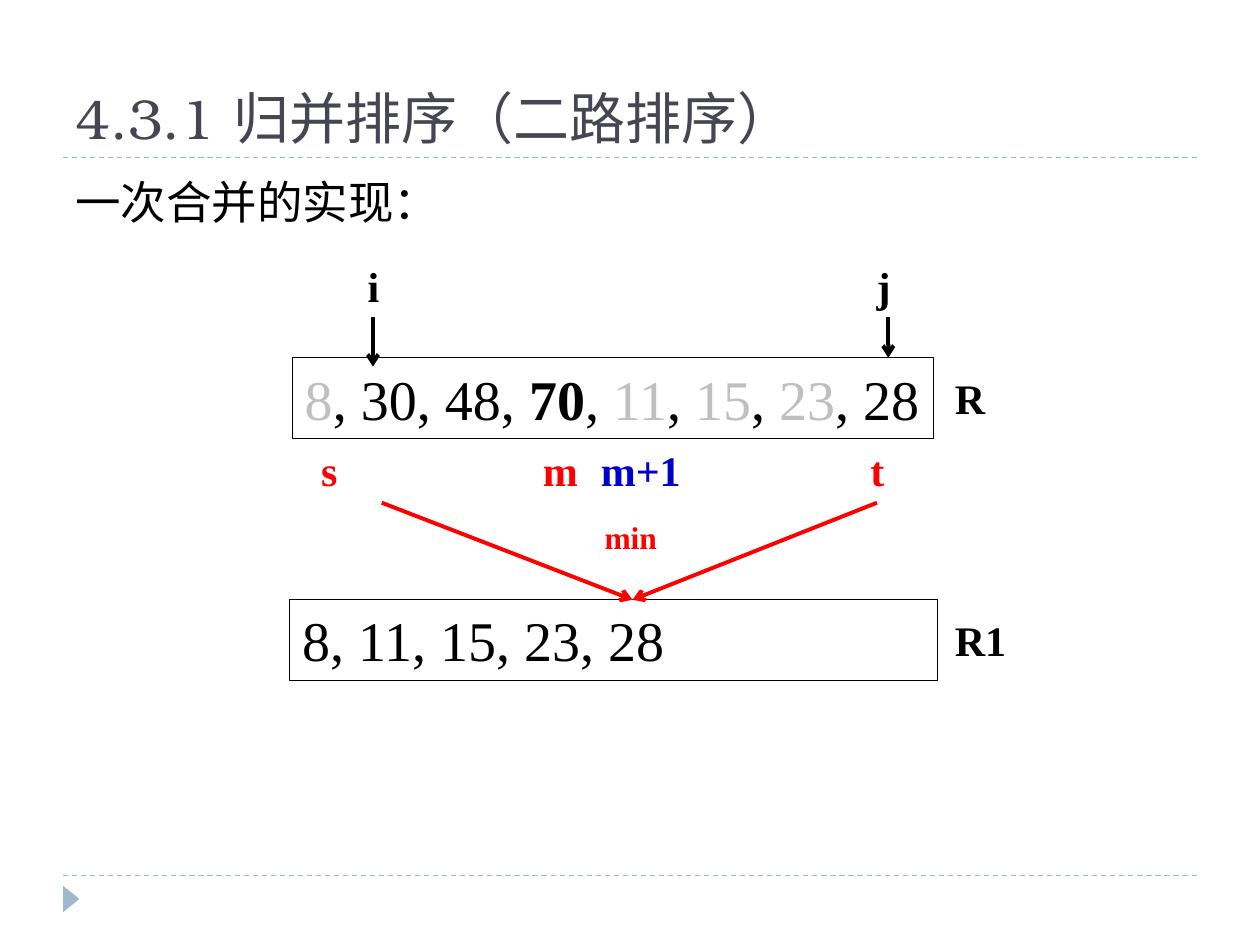
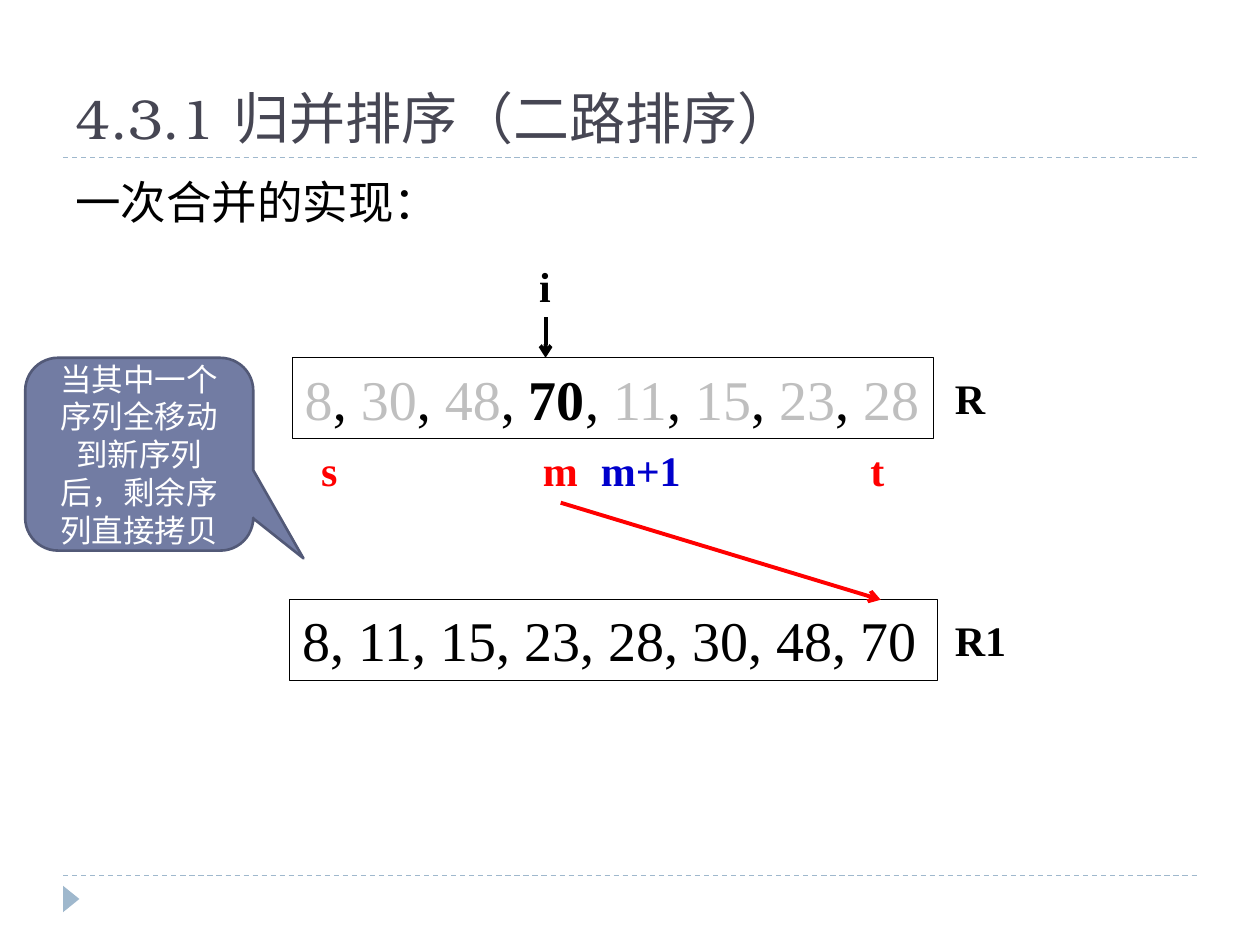
import pptx
import pptx.util
import pptx.dml.color
import pptx.enum.dml
import pptx.enum.shapes
import pptx.enum.text
import pptx.oxml.ns
from lxml import etree

Inches, Pt = pptx.util.Inches, pptx.util.Pt
RGB = pptx.dml.color.RGBColor.from_string
MSO_SHAPE = pptx.enum.shapes.MSO_SHAPE
MSO_ANCHOR = pptx.enum.text.MSO_ANCHOR
MSO_AUTO_SIZE = pptx.enum.text.MSO_AUTO_SIZE
PP_ALIGN = pptx.enum.text.PP_ALIGN
qn = pptx.oxml.ns.qn


class Theme:
    title, ink, faded, paper = "464653", "000000", "BFBFBF", "FFFFFF"
    rule, red, blue = "9FB8CD", "FF0000", "0000CC"
    callout, callout_edge = "727CA3", "525977"
    title_font, body_font, math_font = "TeX Gyre Bonum", "Calibri", "Times New Roman"
    big, body, label, small = 32, 26, 24, 18
    thin, edge, arrow = 0.75, 1.5, 2.25


# Content
TITLE = "4.3.1 归并排序（二路排序）"
LEAD = "一次合并的实现："
SOURCE_ROW = [8, 30, 48, 70, 11, 15, 23, 28]
LAST_OF_LEFT = 70

# Labels: text, left, top, width, colour, size
MARK_Y = 3.48
POINTER_Y = 2.02
SHARED_LABELS = [
    ("s", 2.45, MARK_Y, 0.35, Theme.red, Theme.label),
    ("m", 4.21, MARK_Y, 0.5, Theme.red, Theme.label),
    ("m+1", 4.67, MARK_Y, 0.9, Theme.blue, Theme.label),
    ("t", 6.81, MARK_Y, 0.35, Theme.red, Theme.label),
    ("R", 7.48, 2.91, 0.5, Theme.ink, Theme.label),
    ("R1", 7.48, 4.83, 0.65, Theme.ink, Theme.label),
]

# Pointers: text, label left, label width, arrow x, arrow end y
# Moves: start x, end x of the arrows from R to R1
STEPS = [
    {
        "merged": [8, 11, 15, 23, 28],
        "moved": {8, 11, 15, 23},
        "pointers": [("i", 2.82, 0.32, 2.96, 2.91), ("j", 6.86, 0.32, 7.05, 2.84)],
        "moves": [(3.03, 5.02), (6.96, 5.02)],
        "labels": [("min", 4.7, 4.06, 0.7, Theme.red, Theme.small)],
        "note": None,
    },
    {
        "merged": [8, 11, 15, 23, 28, 30, 48, 70],
        "moved": {8, 11, 15, 23, 28, 30, 48},
        "pointers": [("i", 4.18, 0.32, 4.33, 2.84)],
        "moves": [(4.45, 6.99)],
        "labels": [],
        "note": "当其中一个序列全移动到新序列后，剩余序列直接拷贝",
    },
]


# Drawing helpers
def write(p, parts, font, size):
    """Fill a paragraph with runs given as (text, colour, bold)."""
    for text, color, bold in parts:
        r = p.add_run()
        r.text = text
        r.font.name, r.font.size, r.font.bold = font, Pt(size), bold
        r.font.color.rgb = RGB(color)


def add_text(s, box, parts, font, size, wrap=False):
    tf = s.shapes.add_textbox(*map(Inches, box)).text_frame
    tf.word_wrap = wrap
    tf.auto_size = MSO_AUTO_SIZE.NONE if wrap else MSO_AUTO_SIZE.SHAPE_TO_FIT_TEXT
    write(tf.paragraphs[0], parts, font, size)


def add_label(s, text, x, y, w, color, size):
    add_text(s, (x, y, w, 0.5 if size == Theme.label else 0.4),
             [(text, color, True)], Theme.math_font, size)


def add_box(s, kind, box, fill, line=None, width=Theme.thin):
    sp = s.shapes.add_shape(kind, *map(Inches, box))
    sp.shadow.inherit = False
    sp.fill.solid()
    sp.fill.fore_color.rgb = RGB(fill)
    if line:
        sp.line.color.rgb = RGB(line)
        sp.line.width = Pt(width)
    else:
        sp.line.fill.background()
    return sp


def add_line(s, x1, y1, x2, y2, color, width):
    cx = s.shapes.add_connector(pptx.enum.shapes.MSO_CONNECTOR.STRAIGHT,
                                *map(Inches, (x1, y1, x2, y2)))
    cx.line.color.rgb = RGB(color)
    cx.line.width = Pt(width)
    etree.SubElement(cx.element.spPr, qn("a:effectLst"))
    return cx


def add_arrow(s, x1, y1, x2, y2, color):
    cx = add_line(s, x1, y1, x2, y2, color, Theme.arrow)
    etree.SubElement(cx.line._get_or_add_ln(), qn("a:tailEnd"), type="arrow")


def add_row(s, box, parts, wrap):
    sp = add_box(s, MSO_SHAPE.RECTANGLE, box, Theme.paper, Theme.ink)
    tf = sp.text_frame
    tf.word_wrap = wrap
    tf.vertical_anchor = MSO_ANCHOR.TOP
    p = tf.paragraphs[0]
    p.alignment = PP_ALIGN.LEFT
    write(p, parts, Theme.math_font, Theme.big)


# Shared frame: drawn once, then placed on the layout
def add_frame(s, layout):
    for ph in list(layout.placeholders)[1:]:
        layout.shapes.element.remove(ph.element)
    frame = []
    for y in (6.95, 1.25):
        rule = add_line(s, 0.5, y, 9.5, y, Theme.rule, Theme.thin)
        rule.line.dash_style = pptx.enum.dml.MSO_LINE.DASH
        frame.append(rule)
    corner = add_box(s, MSO_SHAPE.ISOSCELES_TRIANGLE, (0.46, 7.07, 0.21, 0.13), Theme.rule)
    corner.rotation = 90
    for sp in frame + [corner]:
        layout.shapes.element.append(sp.element)


def add_title(s):
    title = s.shapes.title
    title.left, title.top, title.width, title.height = map(Inches, (0.5, 0.17, 9, 1.08))
    tf = title.text_frame
    tf.auto_size = MSO_AUTO_SIZE.NONE
    tf.vertical_anchor = MSO_ANCHOR.BOTTOM
    p = tf.paragraphs[0]
    p.alignment = PP_ALIGN.LEFT
    write(p, [(TITLE, Theme.title, False)], Theme.title_font, Theme.big)


def source_parts(moved):
    parts = []
    for n in SOURCE_ROW:
        if parts:
            parts.append((", ", Theme.ink, False))
        parts.append((str(n), Theme.faded if n in moved else Theme.ink, n == LAST_OF_LEFT))
    return parts


def add_note(s, text):
    sp = add_box(s, MSO_SHAPE.ROUNDED_RECTANGULAR_CALLOUT, (0.2, 2.84, 1.81, 1.53),
                 Theme.callout, Theme.callout_edge, Theme.edge)
    for i, value in enumerate((0.72, 0.54, 0.17)):
        sp.adjustments[i] = value
    tf = sp.text_frame
    tf.word_wrap = True
    tf.vertical_anchor = MSO_ANCHOR.MIDDLE
    p = tf.paragraphs[0]
    p.alignment = PP_ALIGN.CENTER
    # Keep the comma inside the margin
    p._p.get_or_add_pPr().set("hangingPunct", "0")
    write(p, [(text, Theme.paper, False)], Theme.body_font, Theme.small)


def add_step(s, step):
    add_title(s)
    add_text(s, (0.5, 1.33, 9, 5.4), [(LEAD, Theme.ink, False)],
             Theme.body_font, Theme.body, wrap=True)

    # Rows R and R1
    add_row(s, (2.32, 2.84, 5.09, 0.64), source_parts(step["moved"]), wrap=False)
    merged = ", ".join(map(str, step["merged"]))
    add_row(s, (2.3, 4.76, 5.14, 0.64), [(merged, Theme.ink, False)], wrap=True)

    # Labels, pointers and moves
    for label in SHARED_LABELS + step["labels"]:
        add_label(s, *label)
    for text, x, w, arrow_x, end_y in step["pointers"]:
        add_label(s, text, x, POINTER_Y, w, Theme.ink, Theme.label)
        add_arrow(s, arrow_x, 2.52, arrow_x, end_y, Theme.ink)
    for start_x, end_x in step["moves"]:
        add_arrow(s, start_x, 3.99, end_x, 4.76, Theme.red)
    if step["note"]:
        add_note(s, step["note"])


def main():
    prs = pptx.Presentation()
    prs.slide_width, prs.slide_height = Inches(10), Inches(7.5)
    layout = prs.slide_layouts[5]
    for i, step in enumerate(STEPS):
        s = prs.slides.add_slide(layout)
        if i == 0:
            add_frame(s, layout)
        add_step(s, step)
    prs.save("out.pptx")


if __name__ == "__main__":
    main()
